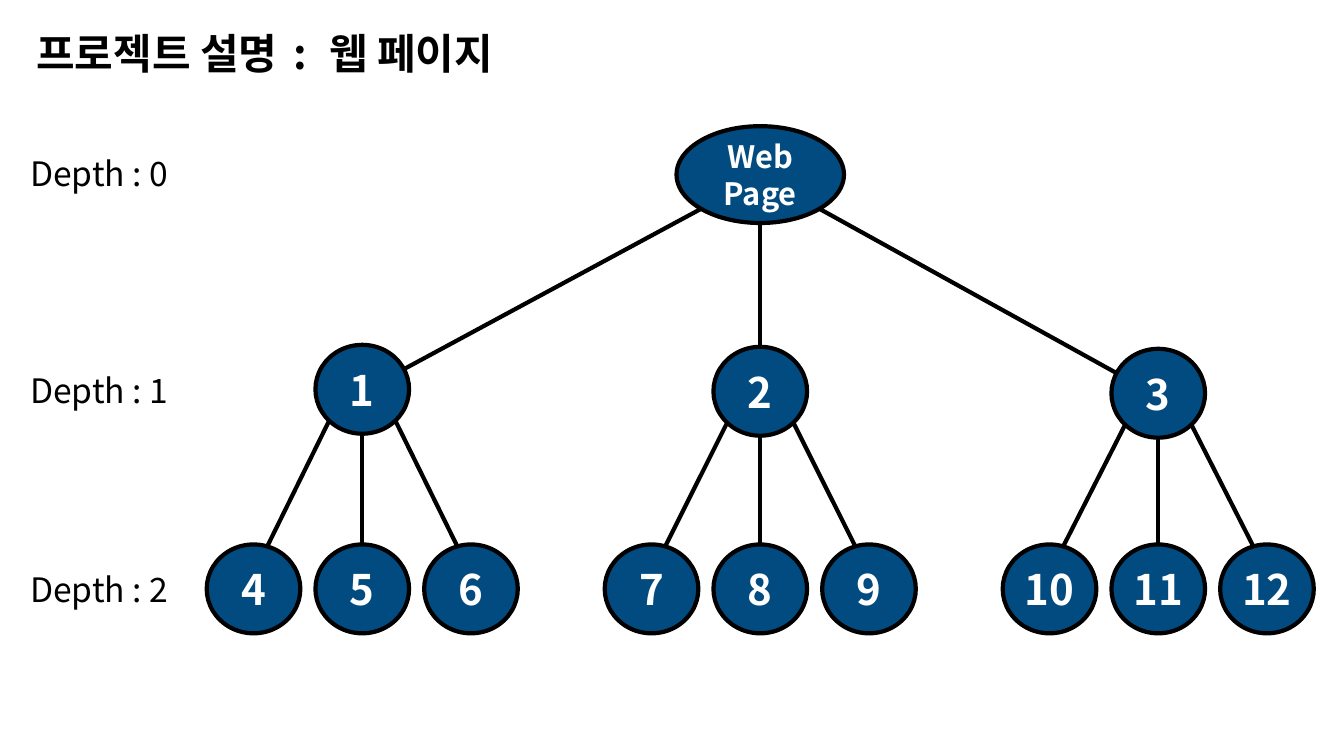
import math

import lxml.etree
import pptx
import pptx.dml.color
import pptx.enum.shapes
import pptx.enum.text
import pptx.oxml.ns
import pptx.util

Cm = pptx.util.Cm
Pt = pptx.util.Pt
Align = pptx.enum.text.PP_ALIGN
Anchor = pptx.enum.text.MSO_ANCHOR

FONT = "Noto Sans CJK KR"
BLACK = pptx.dml.color.RGBColor(0x00, 0x00, 0x00)
WHITE = pptx.dml.color.RGBColor(0xFF, 0xFF, 0xFF)
NAVY = pptx.dml.color.RGBColor(0x02, 0x4B, 0x80)

LINE_WIDTH = Pt(3)
NODE_WIDTH, NODE_HEIGHT = 2.36, 2.24
LEAF_PITCH = 2.74
SIDES = (-1, 0, 1)


def add_run(para, text, size, color, bold=False, spacing=0):
    span = para.add_run()
    span.text = text
    span.font.name = FONT
    span.font.size = Pt(size)
    span.font.bold = bold
    span.font.color.rgb = color
    properties = span.font._element
    east_asian = lxml.etree.SubElement(properties, pptx.oxml.ns.qn("a:ea"))
    east_asian.set("typeface", FONT)
    if spacing:
        properties.set("spc", str(int(spacing * 100)))


def add_title(page, left, top, width, height):
    title = page.shapes.title
    title.left, title.top = Cm(left), Cm(top)
    title.width, title.height = Cm(width), Cm(height)
    frame = title.text_frame
    frame.word_wrap = False
    frame.auto_size = pptx.enum.text.MSO_AUTO_SIZE.NONE
    frame.vertical_anchor = Anchor.TOP
    para = frame.paragraphs[0]
    para.alignment = Align.LEFT
    # Wider letter spacing opens the gaps around the colon
    for text, spacing in (("프로젝트 설명", 0), (" : ", 4.5), ("웹 페이지", 0)):
        add_run(para, text, 30, BLACK, True, spacing)


def add_depth_labels(page, left, tops, width, height):
    for depth, top in enumerate(tops):
        box = page.shapes.add_textbox(Cm(left), Cm(top), Cm(width), Cm(height))
        box.text_frame.word_wrap = False
        add_run(box.text_frame.paragraphs[0], f"Depth : {depth}", 24, BLACK)


def add_node(page, lines, center, top, width=NODE_WIDTH, height=NODE_HEIGHT, size=30):
    node = page.shapes.add_shape(
        pptx.enum.shapes.MSO_SHAPE.OVAL,
        Cm(center - width / 2), Cm(top), Cm(width), Cm(height))
    node.shadow.inherit = False
    node.fill.solid()
    node.fill.fore_color.rgb = NAVY
    node.line.color.rgb = BLACK
    node.line.width = LINE_WIDTH
    frame = node.text_frame
    frame.word_wrap = False
    frame.vertical_anchor = Anchor.MIDDLE
    for index, line in enumerate(lines):
        para = frame.add_paragraph() if index else frame.paragraphs[0]
        para.alignment = Align.CENTER
        add_run(para, line, size, WHITE, True)
    return node


def rim_point(node, side, vertical, angle):
    """Point on the oval's rim, at an angle above or below the horizontal."""
    turn = math.radians(angle if side else 90)
    x = node.left + node.width / 2 * (1 + side * math.cos(turn))
    y = node.top + node.height / 2 * (1 + vertical * math.sin(turn))
    return round(x), round(y)


def add_branch(page, parent, child, side, child_angle):
    start = rim_point(parent, side, 1, 45)
    end = rim_point(child, -side, -1, child_angle)
    branch = page.shapes.add_connector(
        pptx.enum.shapes.MSO_CONNECTOR.STRAIGHT, *start, *end)
    branch.line.color.rgb = BLACK
    branch.line.width = LINE_WIDTH
    lxml.etree.SubElement(branch._element.spPr, pptx.oxml.ns.qn("a:effectLst"))


def add_tree(page, left, top, width):
    """Root over three nodes, each with three leaves."""
    group_pitch = (width - 2 * LEAF_PITCH - NODE_WIDTH) / 2
    middle = left + width / 2
    root = add_node(page, ("Web", "Page"), middle, top, 4.22, 2.44, 22)
    for group, side in enumerate(SIDES):
        center = middle + side * group_pitch
        # The middle row drops slightly from left to right
        node = add_node(page, (str(group + 1),), center, top + 5.51 + 0.05 * group)
        add_branch(page, root, node, side, 27)
        for index, leaf_side in enumerate(SIDES):
            number = 4 + 3 * group + index
            leaf = add_node(page, (str(number),),
                            center + leaf_side * LEAF_PITCH, top + 10.54)
            add_branch(page, node, leaf, leaf_side, 73)


def main():
    deck = pptx.Presentation()
    deck.slide_width, deck.slide_height = Cm(33.87), Cm(19.05)
    page = deck.slides.add_slide(deck.slide_layouts.get_by_name("Title Only"))
    add_title(page, 0.66, 0.56, 12.98, 1.55)
    add_tree(page, 5.21, 3.18, 27.9)
    add_depth_labels(page, 0.51, (3.73, 9.19, 14.2), 4.14, 1.27)
    deck.save("out.pptx")


if __name__ == "__main__":
    main()
